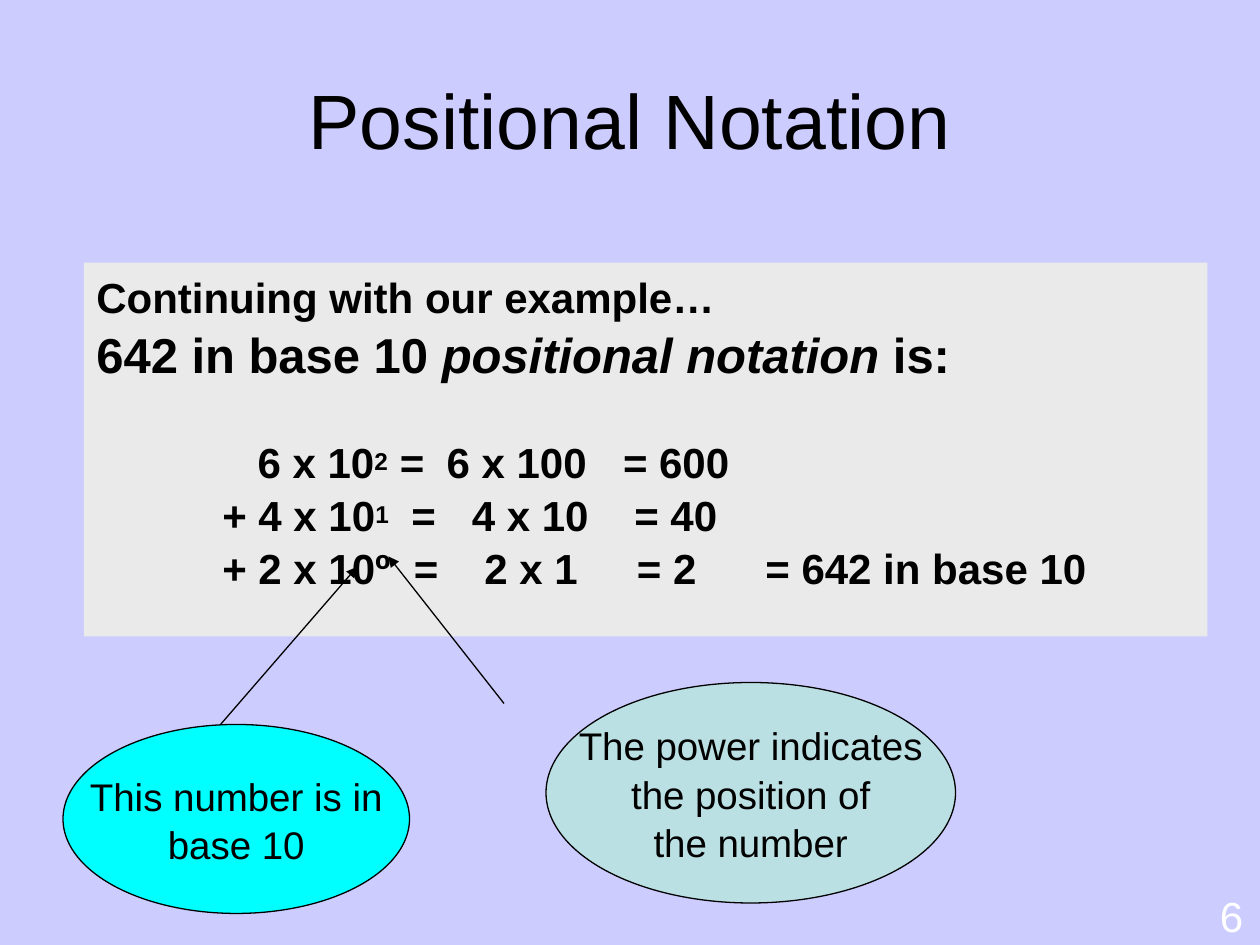
from lxml import etree
from pptx import Presentation
from pptx import util as u
from pptx.dml.color import RGBColor
from pptx.enum import shapes, text
from pptx.oxml.ns import qn

CELL = u.Inches(1) / 12  # the slide is 120 columns by 90 rows
BLACK, WHITE = "000000", "FFFFFF"


def color(value):
    return RGBColor.from_string(value)


def grid(*cells):
    return [u.Emu(round(cell * CELL)) for cell in cells]


def add_shape(slide, box, kind, fill, line=None):
    shape = slide.shapes.add_shape(kind, *grid(*box))
    shape.shadow.inherit = False
    shape.fill.solid()
    shape.fill.fore_color.rgb = color(fill)
    if line:
        shape.line.color.rgb = color(line)
        shape.line.width = u.Pt(0.75)
    else:
        shape.line.fill.background()
    return shape


def set_tabs(paragraph, stops):
    """Add left tab stops, given in inches."""
    properties = paragraph._p.get_or_add_pPr()
    tabs = etree.SubElement(properties, qn("a:tabLst"))
    for stop in stops:
        etree.SubElement(tabs, qn("a:tab"), pos=str(u.Inches(stop)), algn="l")


def write(shape, lines, size, align=text.PP_ALIGN.LEFT, anchor=text.MSO_ANCHOR.TOP,
          wrap=True, font_color=BLACK, bold=False):
    """Fill a shape with (runs, tab stops) lines and return its paragraphs."""
    frame = shape.text_frame
    frame.word_wrap = wrap
    frame.vertical_anchor = anchor
    for index, (runs, stops) in enumerate(lines):
        paragraph = frame.add_paragraph() if index else frame.paragraphs[0]
        paragraph.alignment = align
        paragraph.line_spacing = 1.05
        if stops:
            set_tabs(paragraph, stops)
        font = paragraph.font
        font.name, font.size, font.bold = "Arial", u.Pt(size), bold
        font.color.rgb = color(font_color)
        for words in runs:
            paragraph.add_run().text = words
    return frame.paragraphs


def add_label(slide, box, words, size, **style):
    label = slide.shapes.add_textbox(*grid(*box))
    write(label, [([words], None)], size, **style)


def add_example(slide, box):
    panel = add_shape(slide, box, shapes.MSO_SHAPE.RECTANGLE, "EAEAEA")
    lines = [
        (["Continuing with our example…"], None),
        (["642 in base 10 ", "positional notation", " is:"], None),
        (["\t6 x 10", "2", "\t=\t6 x 100\t= 600"], [1.28, 2.41, 2.78, 4.18]),
        (["\t+ 4 x 10", "1", "\t=\t4 x 10\t= 40"], [1, 2.5, 2.98, 4.27]),
        (["\t+ 2 x 10º\t=\t2 x 1\t= 2\t= 642 in base 10"], [1, 2.52, 3.08, 4.29, 5.31]),
    ]
    paragraphs = write(panel, lines, 24, bold=True)
    statement, first_term, second_term = paragraphs[1:4]
    statement.font.size = u.Pt(28)
    statement.runs[1].font.italic = True
    first_term.space_before = u.Pt(29)
    for term in (first_term, second_term):
        term.runs[1]._r.get_or_add_rPr().set("baseline", "20000")


def add_callout(slide, box, fill, lines):
    oval = add_shape(slide, box, shapes.MSO_SHAPE.OVAL, fill, BLACK)
    write(oval, [([line], None) for line in lines], 22, text.PP_ALIGN.CENTER,
          text.MSO_ANCHOR.MIDDLE, wrap=False)


def add_arrow(slide, start, end):
    arrow = slide.shapes.add_connector(shapes.MSO_CONNECTOR.STRAIGHT, *grid(*start, *end))
    arrow.line.color.rgb = color(BLACK)
    arrow.line.width = u.Pt(0.75)
    etree.SubElement(arrow.line._get_or_add_ln(), qn("a:tailEnd"), type="triangle")
    etree.SubElement(arrow._element.spPr, qn("a:effectLst"))


def main():
    presentation = Presentation()
    presentation.slide_width, presentation.slide_height = grid(120, 90)
    slide = presentation.slides.add_slide(presentation.slide_layouts[6])
    slide.background.fill.solid()
    slide.background.fill.fore_color.rgb = color("CCCCFF")

    add_label(slide, (115, 84, 5, 6), "6", 24, font_color=WHITE)
    add_example(slide, (8, 25, 107, 35.6))
    add_arrow(slide, (21, 69), (34, 54))
    add_callout(slide, (6, 69, 33, 18), "00FFFF", ["This number is in", "base 10"])
    add_arrow(slide, (48, 67), (37, 53))
    add_callout(slide, (52, 65, 39, 21), "BBE0E3",
                ["The power indicates", "the position of", "the number"])
    add_label(slide, (6, 3.6, 108, 15), "Positional Notation", 44,
              align=text.PP_ALIGN.CENTER, anchor=text.MSO_ANCHOR.MIDDLE)
    presentation.save("out.pptx")


if __name__ == "__main__":
    main()
